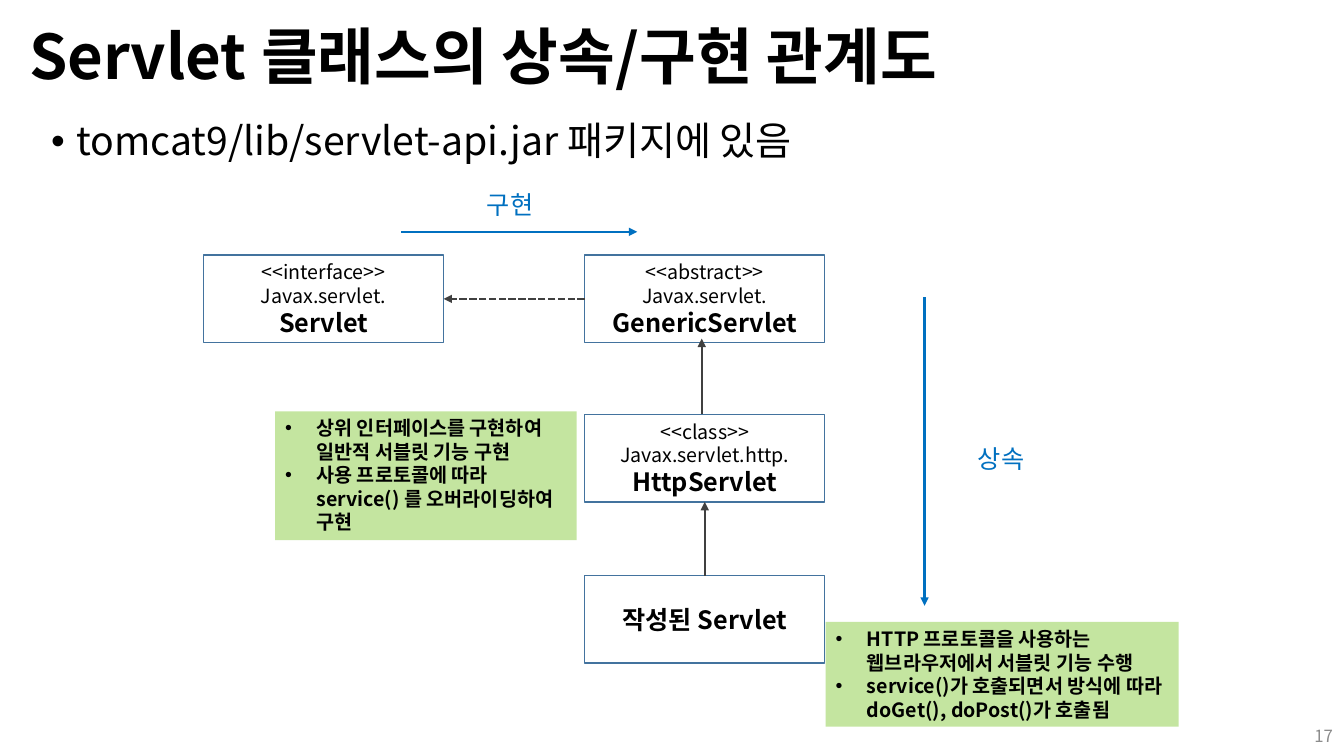
from dataclasses import dataclass
from typing import Optional

from lxml.etree import SubElement
from pptx import Presentation
from pptx.dml.color import RGBColor
from pptx.enum.dml import MSO_LINE
from pptx.enum.shapes import MSO_CONNECTOR, MSO_SHAPE
from pptx.enum.text import MSO_ANCHOR, PP_ALIGN
from pptx.oxml.ns import qn
from pptx.util import Inches, Pt


@dataclass(frozen=True)
class Theme:
    font: str = "Noto Sans CJK KR"
    black: str = "000000"
    blue: str = "0070C0"
    outline: str = "43739E"
    arrow: str = "404040"
    green: str = "92D050"
    grey: str = "8C8C8C"
    title: int = 44
    body: int = 28
    name: int = 18
    detail: int = 14
    number: int = 12


THEME = Theme()
BOX_WIDTH, BOX_HEIGHT = 2.38, 0.87
LEFT_COLUMN, RIGHT_COLUMN = 2.02, 5.8


@dataclass(frozen=True)
class ClassBox:
    left: float
    top: float
    name: str
    details: tuple = ()


@dataclass(frozen=True)
class Arrow:
    start: tuple
    end: tuple
    color: str
    dashed: bool = False
    source: Optional[str] = None
    target: Optional[str] = None
    sites: tuple = (0, 2)


@dataclass(frozen=True)
class Label:
    area: tuple
    text: str
    size: int
    color: str = THEME.black
    bold: bool = False
    anchor: MSO_ANCHOR = MSO_ANCHOR.TOP
    align: PP_ALIGN = PP_ALIGN.LEFT
    wrap: bool = True
    bullet_indent: float = 0
    line_spacing: Optional[float] = None


@dataclass(frozen=True)
class Note:
    area: tuple
    items: tuple


CLASS_BOXES = (
    ClassBox(LEFT_COLUMN, 2.53, "Servlet", ("<<interface>>", "Javax.servlet.")),
    ClassBox(RIGHT_COLUMN, 2.53, "GenericServlet", ("<<abstract>>", "Javax.servlet.")),
    ClassBox(RIGHT_COLUMN, 4.11, "HttpServlet", ("<<class>>", "Javax.servlet.http.")),
    ClassBox(RIGHT_COLUMN, 5.71, "작성된 Servlet"),
)
ARROWS = (
    Arrow((5.8, 2.97), (4.4, 2.97), THEME.arrow, True, "GenericServlet", "Servlet", (1, 3)),
    Arrow((6.96, 4.11), (6.96, 3.36), THEME.arrow),
    Arrow((6.99, 5.71), (6.99, 4.98), THEME.arrow, False, "작성된 Servlet", "HttpServlet"),
    Arrow((9.17, 2.95), (9.17, 6.01), THEME.blue),
    Arrow((3.98, 2.3), (6.32, 2.3), THEME.blue),
)
LABELS = (
    Label((0.19, 0.19, 12.93, 0.81), "Servlet 클래스의 상속/구현 관계도", THEME.title,
          bold=True, anchor=MSO_ANCHOR.MIDDLE, line_spacing=0.9),
    Label((0.41, 1.16, 12.51, 6.14), "tomcat9/lib/servlet-api.jar 패키지에 있음", THEME.body,
          bullet_indent=0.25, line_spacing=0.9),
    Label((9.6, 4.35, 0.71, 0.4), "상속", THEME.name, THEME.blue, wrap=False),
    Label((4.73, 1.83, 0.85, 0.4), "구현", THEME.name, THEME.blue),
    Label((12.82, 7.1, 0.5, 0.4), "17", THEME.number, THEME.grey,
          anchor=MSO_ANCHOR.MIDDLE, align=PP_ALIGN.RIGHT),
)
NOTES = (
    Note((2.73, 4.08, 2.99, 1.28), (
        "상위 인터페이스를 구현하여 일반적 서블릿 기능 구현",
        "사용 프로토콜에 따라 service() 를 오버라이딩하여 구현")),
    Note((8.19, 6.17, 3.5, 1.04), (
        "HTTP 프로토콜을 사용하는 웹브라우저에서 서블릿 기능 수행",
        "service()가 호출되면서 방식에 따라 doGet(), doPost()가 호출됨")),
)


def format_paragraph(paragraph, size: int, color: str, bold: bool, align: PP_ALIGN) -> None:
    paragraph.alignment = align
    for run in paragraph.runs:
        run.font.size = Pt(size)
        run.font.bold = bold
        run.font.color.rgb = RGBColor.from_string(color)
        run.font.name = THEME.font
        SubElement(run.font._element, qn("a:ea"), typeface=THEME.font)


def add_bullet(paragraph, indent: float) -> None:
    properties = paragraph._p.get_or_add_pPr()
    properties.set("marL", str(Inches(indent)))
    properties.set("indent", str(-Inches(indent)))
    SubElement(properties, qn("a:buFont"), typeface="Arial")
    SubElement(properties, qn("a:buChar"), char="•")


def add_rectangle(slide, area: tuple):
    shape = slide.shapes.add_shape(MSO_SHAPE.RECTANGLE, *map(Inches, area))
    shape.shadow.inherit = False
    shape.text_frame.word_wrap = True
    return shape


def add_label(slide, label: Label) -> None:
    text_frame = slide.shapes.add_textbox(*map(Inches, label.area)).text_frame
    text_frame.text = label.text
    text_frame.word_wrap = label.wrap
    text_frame.vertical_anchor = label.anchor
    paragraph = text_frame.paragraphs[0]
    if label.bullet_indent:
        add_bullet(paragraph, label.bullet_indent)
    if label.line_spacing:
        paragraph.line_spacing = label.line_spacing
    format_paragraph(paragraph, label.size, label.color, label.bold, label.align)


def add_class_box(slide, box: ClassBox):
    shape = add_rectangle(slide, (box.left, box.top, BOX_WIDTH, BOX_HEIGHT))
    shape.fill.background()
    shape.line.color.rgb = RGBColor.from_string(THEME.outline)
    shape.line.width = Pt(1)
    shape.text_frame.vertical_anchor = MSO_ANCHOR.MIDDLE
    shape.text_frame.text = "\n".join((*box.details, box.name))
    *details, name = shape.text_frame.paragraphs
    for paragraph in details:
        format_paragraph(paragraph, THEME.detail, THEME.black, False, PP_ALIGN.CENTER)
    format_paragraph(name, THEME.name, THEME.black, True, PP_ALIGN.CENTER)
    return shape


def add_arrow(slide, arrow: Arrow, boxes: dict) -> None:
    connector = slide.shapes.add_connector(
        MSO_CONNECTOR.STRAIGHT, *map(Inches, arrow.start + arrow.end))
    if arrow.source:
        connector.begin_connect(boxes[arrow.source], arrow.sites[0])
        connector.end_connect(boxes[arrow.target], arrow.sites[1])
    connector.line.color.rgb = RGBColor.from_string(arrow.color)
    connector.line.width = Pt(1.75)
    if arrow.dashed:
        connector.line.dash_style = MSO_LINE.SQUARE_DOT
    SubElement(connector.line._get_or_add_ln(), qn("a:tailEnd"), type="triangle")
    SubElement(connector._element.spPr, qn("a:effectLst"))


def add_note(slide, note: Note) -> None:
    shape = add_rectangle(slide, note.area)
    shape.fill.solid()
    shape.fill.fore_color.rgb = RGBColor.from_string(THEME.green)
    color = shape._element.spPr.find(qn("a:solidFill"))[0]
    SubElement(color, qn("a:alpha"), val="54000")
    shape.line.fill.background()
    shape.text_frame.vertical_anchor = MSO_ANCHOR.TOP
    shape.text_frame.text = "\n".join(note.items)
    for paragraph in shape.text_frame.paragraphs:
        add_bullet(paragraph, 0.31)
        format_paragraph(paragraph, THEME.detail, THEME.black, True, PP_ALIGN.LEFT)


def main() -> None:
    presentation = Presentation()
    presentation.slide_width, presentation.slide_height = Inches(13.33), Inches(7.5)
    slide = presentation.slides.add_slide(presentation.slide_layouts[6])
    # Title, body line, arrow captions and page number
    for label in LABELS:
        add_label(slide, label)
    # Class diagram
    boxes = {box.name: add_class_box(slide, box) for box in CLASS_BOXES}
    for arrow in ARROWS:
        add_arrow(slide, arrow, boxes)
    # Green explanations
    for note in NOTES:
        add_note(slide, note)
    presentation.save("out.pptx")


if __name__ == "__main__":
    main()
